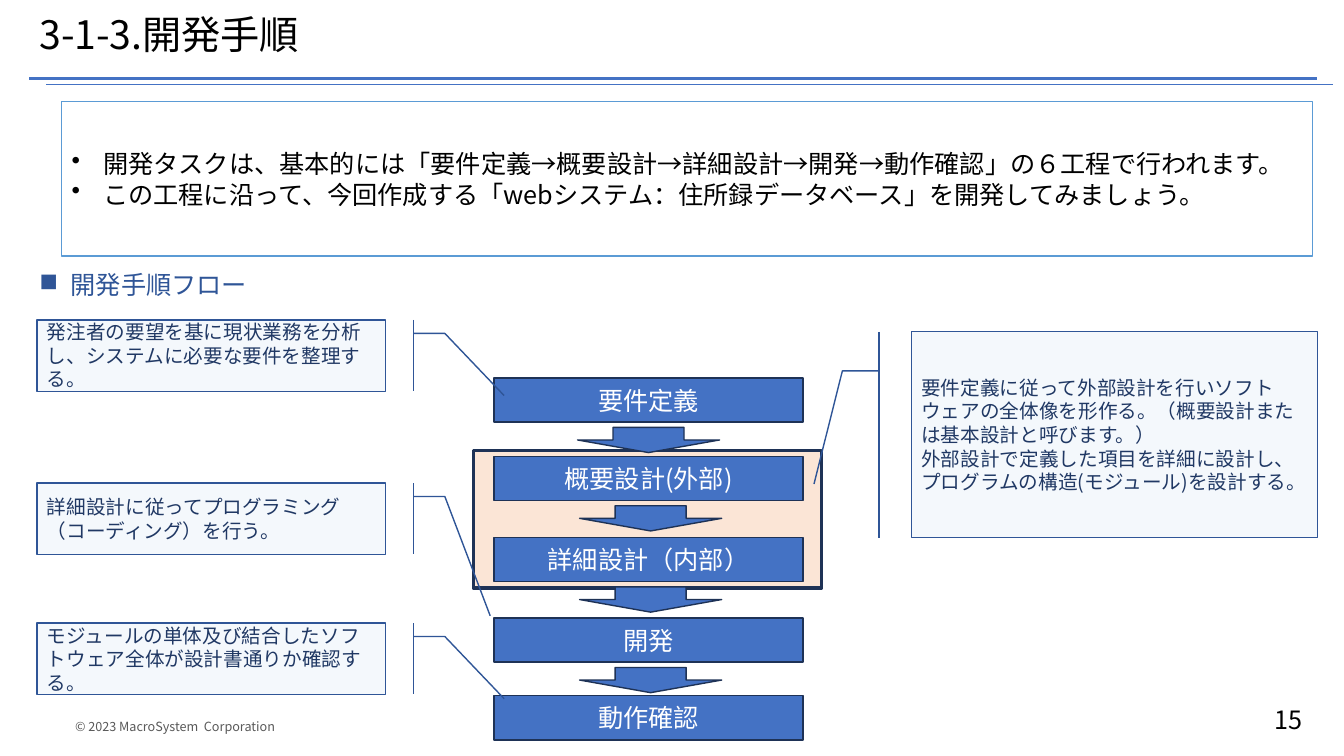
from dataclasses import dataclass

from lxml import etree
from pptx import Presentation
from pptx.dml.color import RGBColor
from pptx.enum.shapes import MSO_CONNECTOR, MSO_SHAPE
from pptx.enum.text import MSO_ANCHOR, PP_ALIGN
from pptx.oxml.ns import qn
from pptx.util import Pt

RECT = MSO_SHAPE.RECTANGLE
DOWN_ARROW = MSO_SHAPE.DOWN_ARROW
CALLOUT = MSO_SHAPE.LINE_CALLOUT_2_BORDER_AND_ACCENT_BAR
STRAIGHT = MSO_CONNECTOR.STRAIGHT
TOP, MIDDLE = MSO_ANCHOR.TOP, MSO_ANCHOR.MIDDLE
LEFT, CENTER, RIGHT = PP_ALIGN.LEFT, PP_ALIGN.CENTER, PP_ALIGN.RIGHT

FONT = "Noto Sans CJK JP"
COLORS = {
    "black": "000000", "white": "FFFFFF", "gray": "595959",
    "blue": "4472C4", "navy": "1E3256", "sky": "5B9BD5", "peach": "FBE5D6",
    "heading": "2F5597", "note": "203864", "pale": "DEEBF7",
}
BULLET_INDENT = 22.5
STEP_X, STEP_W, STEP_H = 353, 220.5, 31.5
ARROW_W, ARROW_H, ARROW_GAP = 101.5, 18, 3.75


@dataclass
class Box:
    x: float
    y: float
    w: float
    h: float


@dataclass
class Style:
    size: float
    color: str = "black"
    align: PP_ALIGN = LEFT
    anchor: MSO_ANCHOR = TOP
    bullet: str = ""
    spacing: float = 1.0


@dataclass
class Step:
    y: float
    label: str
    arrow_x: float = 414


@dataclass
class Note:
    box: Box
    text: str
    tip_y: float
    tip_x: float
    flip: bool = True


STEPS = [
    Step(270, "要件定義", 412.5),
    Step(326, "概要設計(外部)"),
    Step(384, "詳細設計（内部）"),
    Step(441.5, "開発"),
    Step(497, "動作確認"),
]
NOTES = [
    Note(Box(651, 237, 290, 147),
         "要件定義に従って外部設計を行いソフトウェアの全体像を形作る。（概要設計または基本設計と呼びます。）\n"
         "外部設計で定義した項目を詳細に設計し、プログラムの構造(モジュール)を設計する。",
         0.74, -0.24, False),
    Note(Box(26.5, 228.5, 249, 51),
         "発注者の要望を基に現状業務を分析し、システムに必要な要件を整理する。", 1.06, -0.34),
    Note(Box(26.5, 345, 249, 51),
         "詳細設計に従ってプログラミング（コーディング）を行う。", 1.86, -0.3),
    Note(Box(26.5, 445, 249, 51),
         "モジュールの単体及び結合したソフトウェア全体が設計書通りか確認する。", 1.06, -0.34),
]


def rgb(name: str) -> RGBColor:
    return RGBColor.from_string(COLORS[name])


def set_text(sp, text: str, style: Style) -> None:
    tf = sp.text_frame
    tf.text = text
    tf.word_wrap = True
    tf.vertical_anchor = style.anchor
    for p in tf.paragraphs:
        p.alignment = style.align
        p.line_spacing = style.spacing
        if style.bullet:
            pPr = p._p.get_or_add_pPr()
            pPr.set("marL", str(Pt(BULLET_INDENT)))
            pPr.set("indent", str(-Pt(BULLET_INDENT)))
            etree.SubElement(pPr, qn("a:buChar")).set("char", style.bullet)
        for r in p.runs:
            r.font.size = Pt(style.size)
            r.font.name = FONT
            r.font.color.rgb = rgb(style.color)
            etree.SubElement(r._r.get_or_add_rPr(), qn("a:ea")).set("typeface", FONT)


def add_text(s, box: Box, text: str, style: Style) -> None:
    sp = s.shapes.add_textbox(Pt(box.x), Pt(box.y), Pt(box.w), Pt(box.h))
    set_text(sp, text, style)


def add_shape(s, kind: MSO_SHAPE, box: Box, fill: str, line: str, width: float = 1):
    sp = s.shapes.add_shape(kind, Pt(box.x), Pt(box.y), Pt(box.w), Pt(box.h))
    sp.shadow.inherit = False
    sp.fill.solid()
    sp.fill.fore_color.rgb = rgb(fill)
    sp.line.color.rgb = rgb(line)
    sp.line.width = Pt(width)
    return sp


def add_rule(s, x: float, y: float, w: float, width: float) -> None:
    line = s.shapes.add_connector(STRAIGHT, Pt(x), Pt(y), Pt(x + w), Pt(y))
    line.line.color.rgb = rgb("blue")
    line.line.width = Pt(width)
    etree.SubElement(line._element.spPr, qn("a:effectLst"))


def add_note(s, note: Note) -> None:
    sp = add_shape(s, CALLOUT, note.box, "pale", "heading")
    for i, value in enumerate((0.19, -0.08, 0.19, -0.17, note.tip_y, note.tip_x)):
        sp.adjustments[i] = value
    spPr = sp._element.spPr
    fill = spPr.find(qn("a:solidFill")).find(qn("a:srgbClr"))
    etree.SubElement(fill, qn("a:alpha")).set("val", "32000")
    if note.flip:
        spPr.find(qn("a:xfrm")).set("flipH", "1")
    set_text(sp, note.text, Style(14, "note", anchor=MIDDLE))


def main() -> None:
    prs = Presentation()
    prs.slide_width, prs.slide_height = Pt(960), Pt(540)
    s = prs.slides.add_slide(prs.slide_layouts[6])

    # Footer and header rules
    add_text(s, Box(37.5, 510, 273, 18), "\u3000© 2023 MacroSystem  Corporation".replace("\u3000", "　"),
             Style(9, "gray"))
    add_text(s, Box(802, 499.5, 135.5, 29), "15", Style(18, align=RIGHT))
    add_rule(s, 21, 56, 919.5, 1.75)
    add_rule(s, 33, 60.5, 919.5, 1)

    # Title, summary and heading
    add_text(s, Box(21, 0, 919.5, 52.5), "3-1-3.開発手順",
             Style(28, anchor=MIDDLE, spacing=0.9))
    summary = add_shape(s, RECT, Box(44, 72.5, 893.5, 110.5), "white", "sky")
    set_text(summary,
             "開発タスクは、基本的には「要件定義→概要設計→詳細設計→開発→動作確認」の６工程で行われます。\n"
             "この工程に沿って、今回作成する「webシステム：住所録データベース」を開発してみましょう。",
             Style(18, anchor=MIDDLE, bullet="•"))
    add_text(s, Box(21, 191.5, 916.5, 29.5), "開発手順フロー",
             Style(18, "heading", bullet="■", spacing=0.9))

    # Flow: design group, steps and the arrows between them
    add_shape(s, RECT, Box(338, 322, 249, 98), "peach", "navy", 2.25)
    for step in STEPS:
        sp = add_shape(s, RECT, Box(STEP_X, step.y, STEP_W, STEP_H), "blue", "navy")
        set_text(sp, step.label, Style(18, "white", CENTER, MIDDLE))
    for step in STEPS[:-1]:
        arrow_y = step.y + STEP_H + ARROW_GAP
        add_shape(s, DOWN_ARROW, Box(step.arrow_x, arrow_y, ARROW_W, ARROW_H), "blue", "navy")

    # Explanations
    for note in NOTES:
        add_note(s, note)

    prs.save("out.pptx")


if __name__ == "__main__":
    main()
